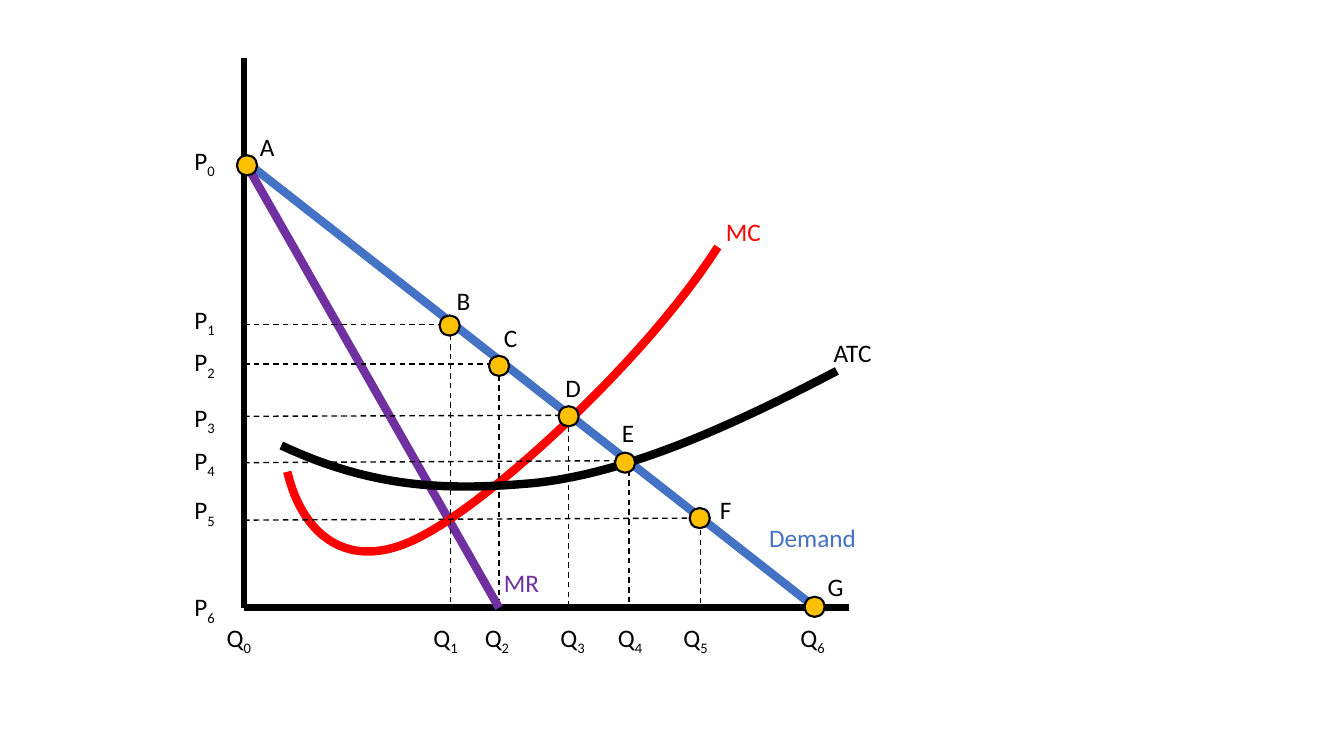
from lxml import etree
from pptx import Presentation
from pptx.dml.color import RGBColor
from pptx.enum.dml import MSO_LINE
from pptx.enum.shapes import MSO_CONNECTOR, MSO_SHAPE
from pptx.oxml.ns import qn
from pptx.util import Inches, Pt

STRAIGHT = MSO_CONNECTOR.STRAIGHT
OVAL = MSO_SHAPE.OVAL
DASH = MSO_LINE.DASH
COLORS = {"ink": "000000", "demand": "4472C4", "mr": "7030A0",
          "mc": "FF0000", "point": "FFC000"}
FONT = {"name": "Calibri", "size": Pt(18)}
PLOT = (2.42, 0.58, 6, 5.45)
DOT = 0.2
STEPS = 24

# Plot coordinates are inches right of and above the origin of the axes.
LINES = [("demand", (0, 4.44), (5.67, 0)), ("mr", (0, 4.44), (2.53, 0))]
CURVES = [
    ("mc", [(0.43, 1.35), (0.58, 0.71), (1.05, 0.33), (1.76, 0.71),
            (2.48, 1.08), (3.99, 2.47), (4.7, 3.58)]),
    ("ink", [(0.37, 1.61), (1.29, 1.18), (2.03, 1.16), (2.9, 1.24),
             (3.67, 1.33), (4.55, 1.65), (5.88, 2.35)]),
]
GUIDES = [
    ((0, 2.81), (1.98, 2.81)), ((2.05, 2.81), (2.05, 0)),
    ((0, 2.42), (2.53, 2.42)), ((2.53, 2.4), (2.53, 0.08)),
    ((0, 1.9), (3.29, 1.91)), ((3.22, 1.8), (3.22, 0)),
    ((0, 1.44), (3.82, 1.46)), ((3.82, 1.46), (3.82, 0)),
    ((0, 0.87), (4.55, 0.89)), ((4.53, 0.87), (4.53, 0)),
]
POINTS = [
    ("A", (0.03, 4.39), (0.06, 4.78)), ("B", (2.04, 2.8), (2.01, 3.25)),
    ("C", (2.53, 2.4), (2.48, 2.88)), ("D", (3.22, 1.9), (3.09, 2.39)),
    ("E", (3.78, 1.44), (3.65, 1.94)), ("F", (4.52, 0.89), (4.62, 1.18)),
    ("G", (5.66, 0.01), (5.69, 0.41)),
]
PRICE_TOPS = [4.64, 3.06, 2.64, 2.09, 1.66, 1.17, 0.21]
QUANTITY_LEFTS = [-0.27, 1.78, 2.29, 3.04, 3.61, 4.26, 5.42]
CURVE_LABELS = [("MR", "mr", (2.48, 0.45), 0.55), ("ATC", "ink", (5.75, 2.73), 0.67),
                ("Demand", "demand", (5.11, 0.9), 1.21), ("MC", "mc", (4.68, 3.93), 0.55)]


def rgb(key):
    """Return the named colour."""
    return RGBColor.from_string(COLORS[key])


def locate(box, point):
    """Turn plot coordinates into a slide position."""
    left, top, _, height = box
    return Inches(left + point[0]), Inches(top + height - point[1])


def add_line(shapes, box, start, end, color, width, dash=None):
    """Draw a straight line between two plot points."""
    cx = shapes.add_connector(STRAIGHT, *locate(box, start), *locate(box, end))
    cx.line.color.rgb = rgb(color)
    cx.line.width = Pt(width)
    if dash:
        cx.line.dash_style = dash
    etree.SubElement(cx._element.spPr, qn("a:effectLst"))


def bezier(p0, p1, p2, p3):
    """Return points along a cubic curve, without its start."""
    steps = [i / STEPS for i in range(1, STEPS + 1)]
    return [tuple((1 - t) ** 3 * a + 3 * (1 - t) ** 2 * t * b
                  + 3 * (1 - t) * t ** 2 * c + t ** 3 * d
                  for a, b, c, d in zip(p0, p1, p2, p3)) for t in steps]


def add_curve(shapes, box, nodes, color):
    """Draw a smooth open curve through chained cubic segments."""
    fb = shapes.build_freeform(*locate(box, nodes[0]))
    for i in range(0, len(nodes) - 1, 3):
        points = bezier(*nodes[i:i + 4])
        fb.add_line_segments([locate(box, p) for p in points], close=False)
    sp = fb.convert_to_shape()
    sp.shadow.inherit = False
    sp.fill.background()
    sp.line.color.rgb = rgb(color)
    sp.line.width = Pt(6)


def add_label(shapes, box, point, text, width, color="ink", subscript=""):
    """Write a label whose top left corner is a plot point."""
    tb = shapes.add_textbox(*locate(box, point), Inches(width), Inches(0.4))
    tf = tb.text_frame
    tf.word_wrap = True
    p = tf.paragraphs[0]
    for part in filter(None, (text, subscript)):
        r = p.add_run()
        r.text = part
        for name, value in FONT.items():
            setattr(r.font, name, value)
        r.font.color.rgb = rgb(color)
    if subscript:
        r.font._element.set("baseline", "-25000")


def add_axes(shapes, box):
    """Draw both axes as one group."""
    axes = shapes.add_group_shape().shapes
    _, _, width, height = box
    add_line(axes, box, (0, height), (0, 0), "ink", 4.75)
    add_line(axes, box, (width, 0), (0, 0), "ink", 4.75)


def add_curves(shapes, box):
    """Draw demand, revenue and cost curves with the dashed guides."""
    for color, start, end in LINES:
        add_line(shapes, box, start, end, color, 6)
    for color, nodes in CURVES:
        add_curve(shapes, box, nodes, color)
    for start, end in GUIDES:
        add_line(shapes, box, start, end, "ink", 1, DASH)


def add_points(shapes, box):
    """Mark the lettered points."""
    for letter, (x, y), corner in POINTS:
        sp = shapes.add_shape(OVAL, *locate(box, (x - DOT / 2, y + DOT / 2)),
                              Inches(DOT), Inches(DOT))
        sp.shadow.inherit = False
        sp.fill.solid()
        sp.fill.fore_color.rgb = rgb("point")
        sp.line.color.rgb = rgb("ink")
        sp.line.width = Pt(1.5)
        add_label(shapes, box, corner, letter, 0.39)


def add_labels(shapes, box):
    """Name the curves, prices and quantities."""
    for text, color, corner, width in CURVE_LABELS:
        add_label(shapes, box, corner, text, width, color)
    for i, (top, left) in enumerate(zip(PRICE_TOPS, QUANTITY_LEFTS)):
        add_label(shapes, box, (-0.59, top), "P", 0.55, subscript=str(i))
        add_label(shapes, box, (left, -0.09), "Q", 0.55, subscript=str(i))


def main():
    """Build the cost and demand diagram."""
    prs = Presentation()
    prs.slide_width, prs.slide_height = Inches(13.33), Inches(7.5)
    s = prs.slides.add_slide(prs.slide_layouts[6])
    for draw in (add_axes, add_curves, add_points, add_labels):
        draw(s.shapes, PLOT)
    prs.save("out.pptx")


if __name__ == "__main__":
    main()
